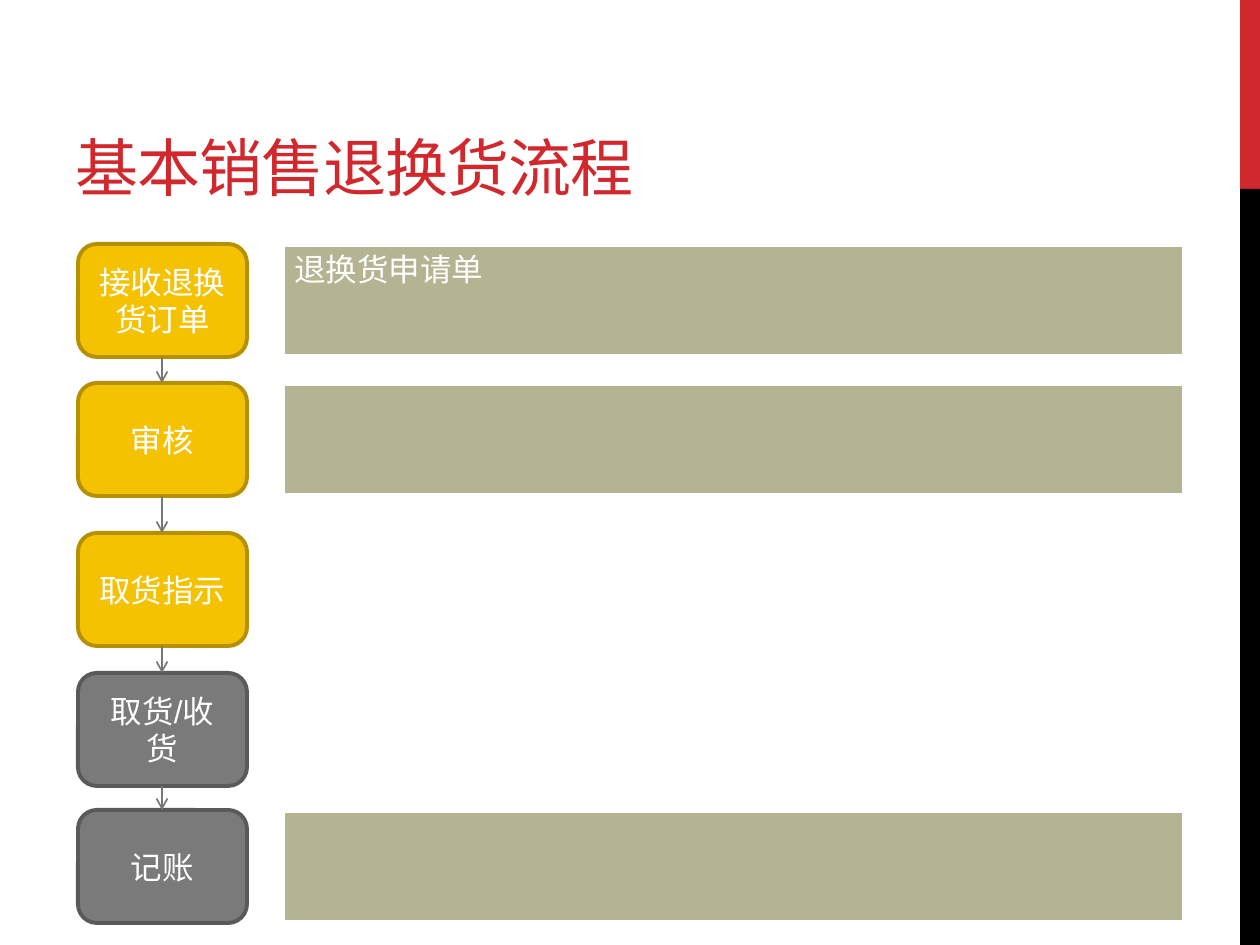
import pptx
import pptx.dml.color
import pptx.enum.shapes
import pptx.enum.text
import pptx.oxml
import pptx.oxml.ns
import pptx.util

EMU_PER_PX = 914400 / 126
SHAPES = pptx.enum.shapes.MSO_SHAPE
ANCHOR = pptx.enum.text.MSO_ANCHOR
ALIGN = pptx.enum.text.PP_ALIGN

RED, BLACK, WHITE = "D1282E", "000000", "FFFFFF"
YELLOW, DARK_YELLOW = "F5C201", "B59001"
GRAY, DARK_GRAY, ARROW_GRAY = "7A7A7A", "5A5A5A", "777777"
OLIVE = "B4B392"

STEP_LEFT, STEP_WIDTH, ROW_HEIGHT = 78, 169, 113
NOTE_LEFT, NOTE_WIDTH = 282, 903

# Label, top, fill, outline, note (None where the step has no note panel)
STEPS = [
    ("接收退换货订单", 244, YELLOW, DARK_YELLOW, "退换货申请单"),
    ("审核", 383, YELLOW, DARK_YELLOW, ""),
    ("取货指示", 533, YELLOW, DARK_YELLOW, None),
    ("取货/收货", 673, GRAY, DARK_GRAY, None),
    ("记账", 810, GRAY, DARK_GRAY, ""),
]


def px(length):
    return pptx.util.Emu(round(length * EMU_PER_PX))


def color(value):
    return pptx.dml.color.RGBColor.from_string(value)


def write(shape, text, anchor, align, font_color=WHITE, size=18, font="Arial"):
    frame = shape.text_frame
    frame.word_wrap = True
    frame.vertical_anchor = anchor
    paragraph = frame.paragraphs[0]
    paragraph.alignment = align
    run = paragraph.add_run()
    run.text = text
    font_format = {"size": pptx.util.Pt(size), "name": font}
    for name, value in font_format.items():
        setattr(run.font, name, value)
    run.font.color.rgb = color(font_color)
    return run


def add_block(slide, kind, box, fill, outline=None, width=0):
    block = slide.shapes.add_shape(kind, *map(px, box))
    block.shadow.inherit = False
    block.fill.solid()
    block.fill.fore_color.rgb = color(fill)
    if outline:
        block.line.color.rgb = color(outline)
        block.line.width = pptx.util.Pt(width)
    else:
        block.line.fill.background()
    return block


def add_title(slide, text):
    title = slide.shapes.add_textbox(*map(px, (63, 21, 798, 189)))
    run = write(title, text, ANCHOR.BOTTOM, ALIGN.LEFT, RED, 36, "Montserrat")
    run.font._element.set("spc", "-60")


def add_step(slide, label, top, fill, outline):
    box = (STEP_LEFT, top, STEP_WIDTH, ROW_HEIGHT)
    step = add_block(slide, SHAPES.ROUNDED_RECTANGLE, box, fill, outline, 2.25)
    write(step, label, ANCHOR.MIDDLE, ALIGN.CENTER)


def add_note(slide, text, top):
    box = (NOTE_LEFT, top, NOTE_WIDTH, ROW_HEIGHT)
    note = add_block(slide, SHAPES.RECTANGLE, box, OLIVE, WHITE, 3.25)
    if text:
        write(note, text, ANCHOR.TOP, ALIGN.LEFT)


def add_arrow(slide, start, end):
    center = px(162)
    arrow = slide.shapes.add_connector(
        pptx.enum.shapes.MSO_CONNECTOR.STRAIGHT, center, px(start), center, px(end))
    arrow.line.color.rgb = color(ARROW_GRAY)
    arrow.line.width = pptx.util.Pt(1)
    # Open arrowhead, no shadow
    namespace = pptx.oxml.ns.nsdecls("a")
    arrow.line._get_or_add_ln().append(
        pptx.oxml.parse_xml(f'<a:tailEnd {namespace} type="arrow"/>'))
    arrow._element.spPr.append(pptx.oxml.parse_xml(f"<a:effectLst {namespace}/>"))


def main():
    deck = pptx.Presentation()
    deck.slide_width, deck.slide_height = px(1260), px(945)
    slide = deck.slides.add_slide(deck.slide_layouts[6])

    # Side band
    add_block(slide, SHAPES.RECTANGLE, (1240, 0, 20, 189), RED)
    add_block(slide, SHAPES.RECTANGLE, (1240, 189, 20, 756), BLACK)

    add_title(slide, "基本销售退换货流程")

    # Process steps and their note panels
    for label, top, fill, outline, note in STEPS:
        add_step(slide, label, top, fill, outline)
        if note is not None:
            add_note(slide, note, top)

    # Arrows from each step to the next
    tops = [step[1] for step in STEPS]
    for top, next_top in zip(tops, tops[1:]):
        add_arrow(slide, top + ROW_HEIGHT, next_top)

    deck.save("out.pptx")


if __name__ == "__main__":
    main()
